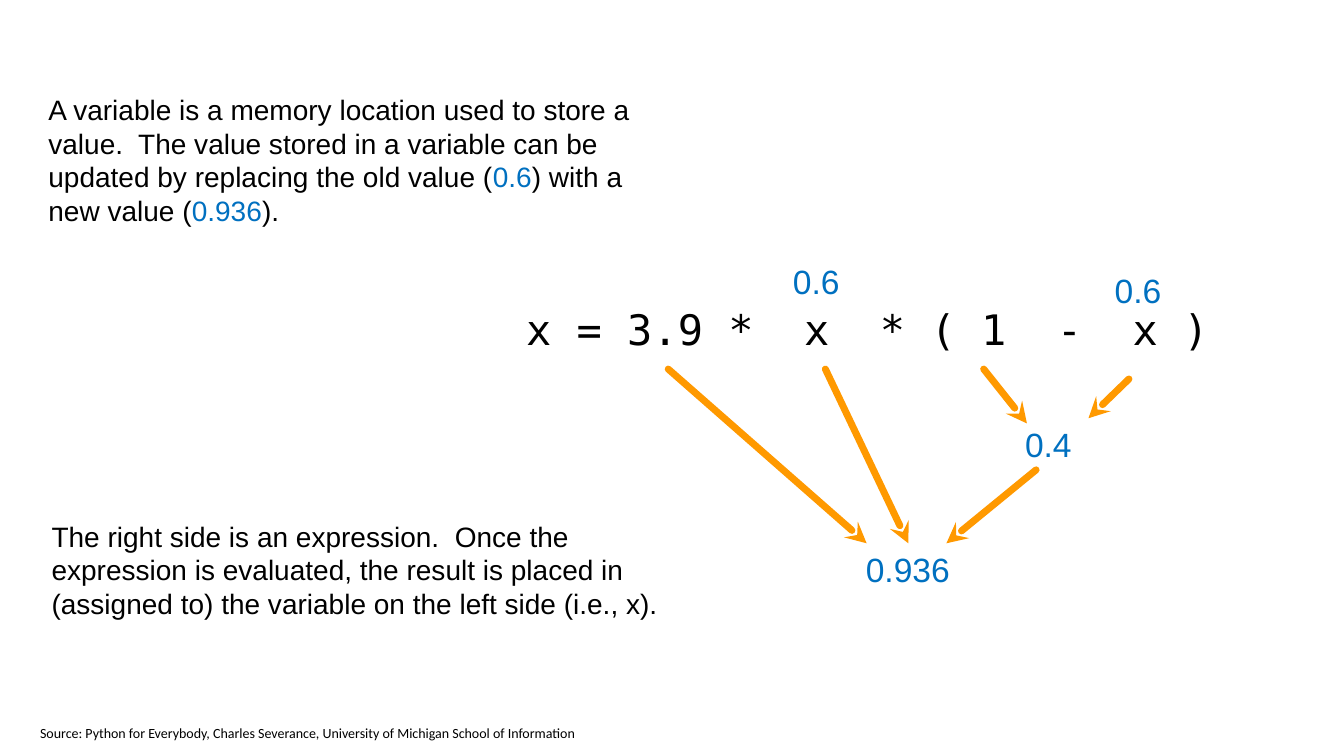
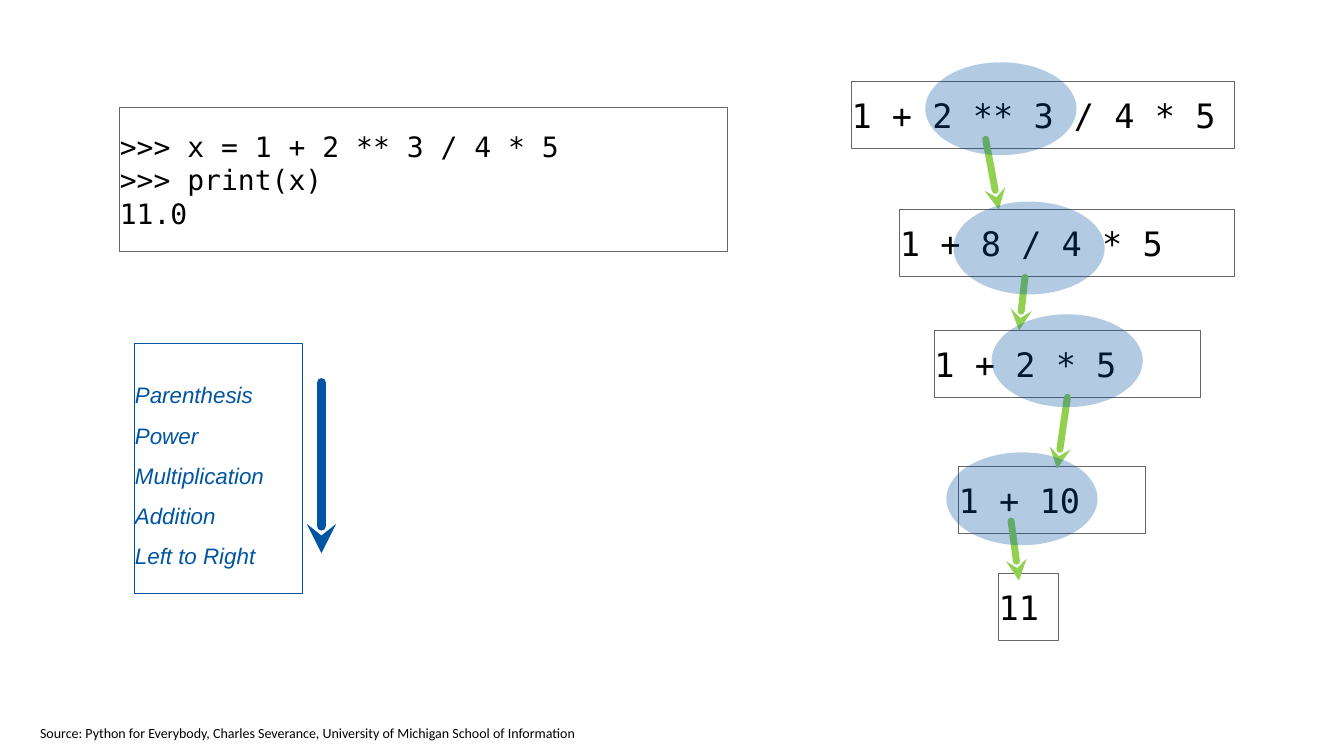
import pptx
import pptx.util
import pptx.dml.color
import pptx.enum.shapes
import pptx.enum.text
import pptx.oxml
import pptx.oxml.ns

Cm, Pt = pptx.util.Cm, pptx.util.Pt
PP_ALIGN = pptx.enum.text.PP_ALIGN
MSO_SHAPE = pptx.enum.shapes.MSO_SHAPE

# Shared style
BLACK, GREY, NAVY = "000000", "666666", "0055A2"
VALUE_BLUE, ORANGE, GREEN = "0070C0", "FF9900", "92D050"
SANS, MONO, FOOTER_FONT = "Arial", "DejaVu Sans Mono", "Calibri"
SOURCE = ("Source: Python for Everybody, Charles Severance, "
          "University of Michigan School of Information")
BLANK_LAYOUT, CONTENT_LAYOUT = 6, 1
VALUE_HEIGHT = 1.3
STEP_HEIGHT = 1.68
HIGHLIGHT_SIZE = (3.81, 2.34)


def rgb(color):
    return pptx.dml.color.RGBColor.from_string(color)


def cm_box(left, top, width, height):
    return Cm(left), Cm(top), Cm(width), Cm(height)


def add_xml(parent, tag, **attributes):
    child = pptx.oxml.parse_xml(f"<{tag} {pptx.oxml.ns.nsdecls('a')}/>")
    for key, value in attributes.items():
        child.set(key, value)
    parent.append(child)


def write(frame, paragraphs, size, font, italic=False, align=PP_ALIGN.LEFT):
    """Fill a frame; each paragraph is a list of (text, color) runs."""
    frame.word_wrap = True
    frame.auto_size = pptx.enum.text.MSO_AUTO_SIZE.NONE
    frame.vertical_anchor = pptx.enum.text.MSO_ANCHOR.MIDDLE
    frame.margin_left = frame.margin_right = 0
    frame.margin_top = frame.margin_bottom = 0
    for index, runs in enumerate(paragraphs):
        paragraph = frame.add_paragraph() if index else frame.paragraphs[0]
        paragraph.alignment = align
        for text, color in runs:
            run = paragraph.add_run()
            run.text = text
            run.font.size = Pt(size)
            run.font.name = font
            run.font.italic = italic
            run.font.color.rgb = rgb(color)


def add_label(slide, box, runs, size, font=SANS, align=PP_ALIGN.LEFT):
    label = slide.shapes.add_textbox(*cm_box(*box))
    write(label.text_frame, [runs], size, font, align=align)
    return label


def add_code_box(slide, box, lines, size):
    code = slide.shapes.add_shape(MSO_SHAPE.RECTANGLE, *cm_box(*box))
    code.shadow.inherit = False
    code.fill.background()
    code.line.color.rgb = rgb(GREY)
    code.line.width = Pt(0.75)
    write(code.text_frame, [[(line, BLACK)] for line in lines], size, MONO)


def add_arrow(slide, tail, head, color, width=5):
    arrow = slide.shapes.add_connector(
        pptx.enum.shapes.MSO_CONNECTOR.STRAIGHT,
        *cm_box(*tail, *head))
    arrow.line.color.rgb = rgb(color)
    arrow.line.width = Pt(width)
    properties = arrow.element.spPr
    line = properties.find(pptx.oxml.ns.qn("a:ln"))
    line.set("cap", "rnd")
    add_xml(line, "a:tailEnd", type="stealth")
    add_xml(properties, "a:effectLst")


def add_highlight(slide, left, top):
    highlight = slide.shapes.add_shape(
        MSO_SHAPE.OVAL, *cm_box(left, top, *HIGHLIGHT_SIZE))
    highlight.shadow.inherit = False
    highlight.fill.solid()
    highlight.fill.fore_color.rgb = rgb(NAVY)
    highlight.line.fill.background()
    fill_color = next(highlight.element.spPr.iter(pptx.oxml.ns.qn("a:srgbClr")))
    add_xml(fill_color, "a:alpha", val="30000")


def add_source(slide):
    source = slide.shapes.add_textbox(*cm_box(0.76, 18.14, 14.22, 0.69))
    frame = source.text_frame
    frame.word_wrap = False
    run = frame.paragraphs[0].add_run()
    run.text = SOURCE
    run.font.size = Pt(10)
    run.font.name = FOOTER_FONT
    run.font.color.rgb = rgb(BLACK)


# Slide 1: how an assignment is evaluated
def add_evaluation(slide, left, top):
    add_label(slide, (left, top + 0.66, 18.42, 2.39),
              [("x = 3.9 *  x  * ( 1  -  x )", BLACK)], 30, MONO)
    values = [("0.6", 6.37, 0, 1.88), ("0.6", 14.32, 0.22, 2.2),
              ("0.4", 12.06, 4.11, 2.2), ("0.936", 7.82, 7.26, 3.6)]
    for value, x, y, width in values:
        add_label(slide, (left + x, top + y, width, VALUE_HEIGHT),
                  [(value, VALUE_BLUE)], 24, align=PP_ALIGN.CENTER)
    flows = [((3.58, 2.87), (8.58, 7.26)), ((7.54, 2.87), (9.63, 7.26)),
             ((11.53, 2.87), (12.62, 4.24)), ((15.19, 3.12), (14.17, 4.11)),
             ((12.85, 5.41), (10.59, 7.26))]
    for (x1, y1), (x2, y2) in flows:
        add_arrow(slide, (left + x1, top + y1), (left + x2, top + y2), ORANGE)


def build_assignment_slide(deck):
    slide = deck.slides.add_slide(deck.slide_layouts[BLANK_LAYOUT])
    add_label(slide, (1.22, 1.78, 15.62, 4.5), [
        ("A variable is a memory location used to store a value.  The value "
         "stored in a variable can be updated by replacing the old value (",
         BLACK),
        ("0.6", VALUE_BLUE), (") with a new value (", BLACK),
        ("0.936", VALUE_BLUE), (").", BLACK)], 20)
    add_label(slide, (1.3, 12.19, 15.98, 4.32), [
        ("The right side is an expression.  Once the expression is evaluated, "
         "the result is placed in (assigned to) the variable on the left side "
         "(i.e., x).", BLACK)], 20)
    add_evaluation(slide, 13.26, 6.43)
    add_source(slide)


# Slide 2: operator precedence
def add_precedence(slide, left, top, width, height):
    rules = slide.placeholders[1]
    rules.left, rules.top, rules.width, rules.height = cm_box(
        left, top, width, height)
    rules.line.color.rgb = rgb(NAVY)
    rules.line.width = Pt(0.75)
    names = ["Parenthesis", "Power", "Multiplication", "Addition",
             "Left to Right"]
    write(rules.text_frame, [[(name, NAVY)] for name in names], 16, SANS,
          italic=True)
    for paragraph in rules.text_frame.paragraphs:
        paragraph.line_spacing = 1.5
        paragraph.space_before = Pt(0)
        properties = paragraph._p.get_or_add_pPr()
        properties.set("marL", "0")
        properties.set("indent", "0")
        add_xml(properties, "a:buNone")
    order_x = left + width + 0.48
    add_arrow(slide, (order_x, top + 0.99), (order_x, top + 5.28), NAVY, 7)


def add_steps(slide, left, top):
    # Expression, its place and width, and the highlight's offset from it
    steps = [("1 + 2 ** 3 / 4 * 5", 0, 0, 9.65, (1.86, -0.49)),
             ("1 + 8 / 4 * 5", 1.22, 3.22, 8.43, (1.35, -0.2)),
             ("1 + 2 * 5", 2.09, 6.27, 6.71, (1.44, -0.41)),
             ("1 + 10", 2.7, 9.7, 4.7, (-0.31, -0.36)),
             ("11", 3.71, 12.39, 1.5, None)]
    results = [((3.38, 1.45), (3.71, 3.22)), ((4.37, 4.93), (4.22, 6.27)),
               ((5.44, 7.95), (5.18, 9.75)), ((4.02, 11.07), (4.22, 12.57))]
    for expression, x, y, width, _ in steps:
        add_code_box(slide, (left + x, top + y, width, STEP_HEIGHT),
                     [expression], 24)
    for (x1, y1), (x2, y2) in results:
        add_arrow(slide, (left + x1, top + y1), (left + x2, top + y2), GREEN)
    for _, x, y, _, offset in steps:
        if offset:
            add_highlight(slide, left + x + offset[0], top + y + offset[1])


def build_precedence_slide(deck):
    slide = deck.slides.add_slide(deck.slide_layouts[CONTENT_LAYOUT])
    unused_title = slide.shapes.title.element
    unused_title.getparent().remove(unused_title)
    add_code_box(slide, (3.02, 2.72, 15.32, 3.61),
                 [">>> x = 1 + 2 ** 3 / 4 * 5", ">>> print(x)", "11.0"], 20)
    add_precedence(slide, 3.4, 8.66, 4.22, 6.3)
    add_steps(slide, 21.46, 2.06)
    add_source(slide)


def main():
    deck = pptx.Presentation()
    deck.slide_width, deck.slide_height = Cm(33.87), Cm(19.05)
    build_assignment_slide(deck)
    build_precedence_slide(deck)
    deck.save("out.pptx")


if __name__ == "__main__":
    main()
